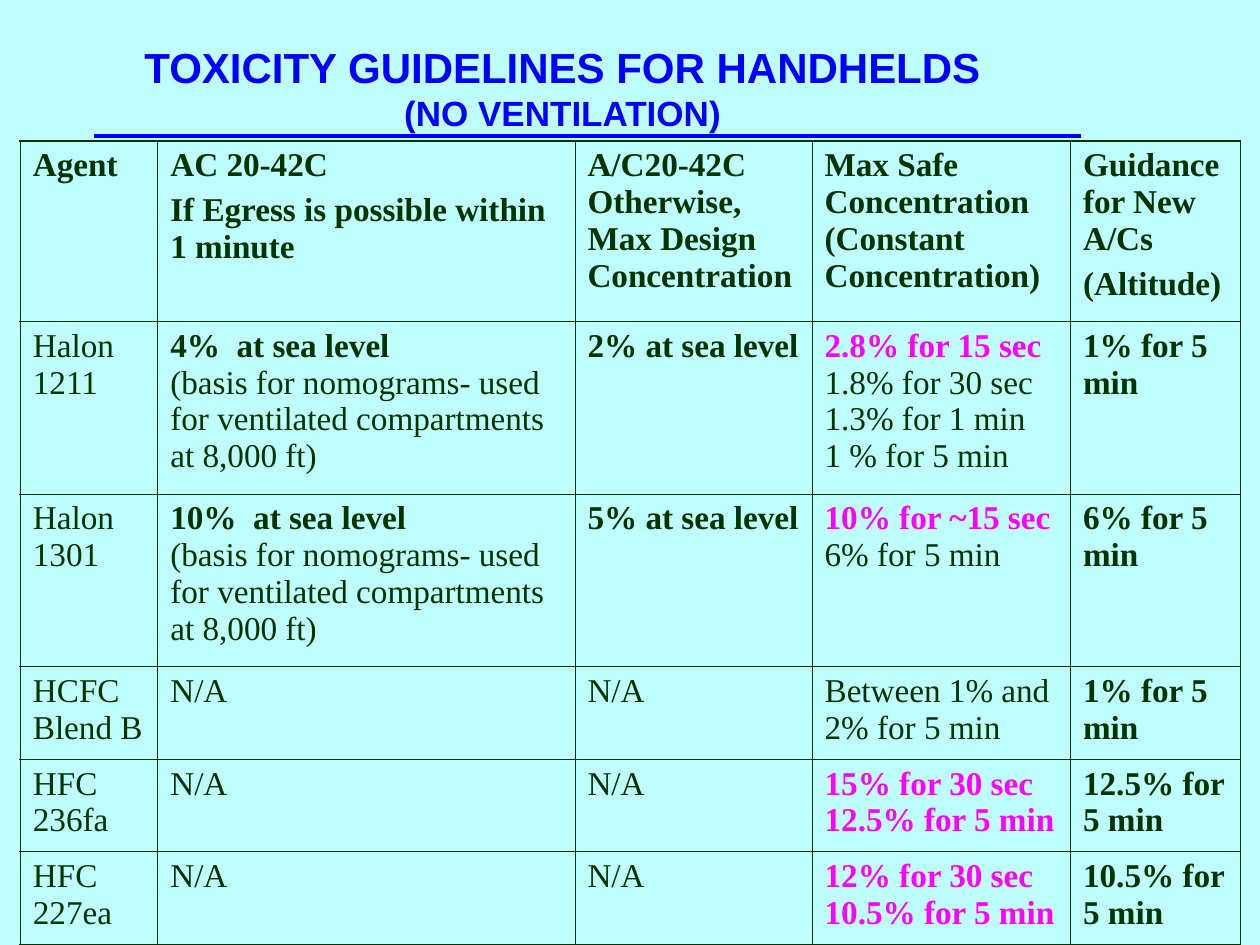
import pptx
import pptx.dml.color
import pptx.enum.shapes
import pptx.enum.text
import pptx.util
import lxml.etree
from pptx.oxml.ns import qn

Cm = pptx.util.Cm
Pt = pptx.util.Pt
RGBColor = pptx.dml.color.RGBColor

PALE_CYAN = RGBColor(0xBF, 0xFF, 0xFF)
BLUE = RGBColor(0x00, 0x00, 0xFF)
DARK_GREEN = RGBColor(0x00, 0x33, 0x00)
MAGENTA = RGBColor(0xFF, 0x00, 0xFF)

# Text styles of the table: bold, colour
PLAIN = (False, DARK_GREEN)
BOLD = (True, DARK_GREEN)
ALERT = (True, MAGENTA)

BASIS = ("(basis for nomograms- used for ventilated compartments at 8,000 ft)", PLAIN)
NOT_APPLICABLE = [("N/A", PLAIN)]

ROWS = [
    [[("Agent", BOLD)],
     [("AC 20-42C", BOLD), ("If Egress is possible within 1 minute", BOLD)],
     [("A/C20-42C", BOLD), ("Otherwise,", BOLD), ("Max Design Concentration", BOLD)],
     [("Max Safe Concentration (Constant Concentration)", BOLD)],
     [("Guidance for New A/Cs", BOLD), ("(Altitude)", BOLD)]],
    [[("Halon 1211", PLAIN)],
     [("4%  at sea level", BOLD), BASIS],
     [("2% at sea level", BOLD)],
     [("2.8% for 15 sec", ALERT), ("1.8% for 30 sec", PLAIN),
      ("1.3% for 1 min", PLAIN), ("1 % for 5 min", PLAIN)],
     [("1% for 5 min", BOLD)]],
    [[("Halon 1301", PLAIN)],
     [("10%  at sea level", BOLD), BASIS],
     [("5% at sea level", BOLD)],
     [("10% for ~15 sec", ALERT), ("6% for 5 min", PLAIN)],
     [("6% for 5 min", BOLD)]],
    [[("HCFC Blend B", PLAIN)], NOT_APPLICABLE, NOT_APPLICABLE,
     [("Between 1% and 2% for 5 min", PLAIN)],
     [("1% for 5 min", BOLD)]],
    [[("HFC 236fa", PLAIN)], NOT_APPLICABLE, NOT_APPLICABLE,
     [("15% for 30 sec", ALERT), ("12.5% for 5 min", ALERT)],
     [("12.5% for 5 min", BOLD)]],
    [[("HFC 227ea", PLAIN)], NOT_APPLICABLE, NOT_APPLICABLE,
     [("12% for 30 sec", ALERT), ("10.5% for 5 min", ALERT)],
     [("10.5% for 5 min", BOLD)]],
]
COLUMN_WIDTHS = [2.77, 8.41, 4.78, 5.21, 3.43]
ROW_HEIGHTS = [3.63, 3.48, 3.48, 1.85, 1.85, 1.85]
SPACED_COLUMNS = (1, 4)  # header cells with a gap between paragraphs


def format_span(span, font_name, size, bold, color):
    span.font.name = font_name
    span.font.size = Pt(size)
    span.font.bold = bold
    span.font.color.rgb = color


def add_border(cell, side, width):
    properties = cell._tc.get_or_add_tcPr()
    line = lxml.etree.SubElement(properties, qn("a:" + side), w=str(Pt(width)))
    fill = lxml.etree.SubElement(line, qn("a:solidFill"))
    lxml.etree.SubElement(fill, qn("a:srgbClr"), val=str(DARK_GREEN))


deck = pptx.Presentation()
deck.slide_width, deck.slide_height = Cm(25.4), Cm(19.05)
page = deck.slides.add_slide(deck.slide_layouts[5])
page.background.fill.solid()
page.background.fill.fore_color.rgb = PALE_CYAN

# Title
title = page.shapes.title
title.left, title.top, title.width, title.height = Cm(2.64), Cm(0.71), Cm(17.4), Cm(2.11)
frame = title.text_frame
frame.text = "TOXICITY GUIDELINES FOR HANDHELDS\n(NO VENTILATION)"
frame.word_wrap = False
frame.auto_size = pptx.enum.text.MSO_AUTO_SIZE.SHAPE_TO_FIT_TEXT
frame.vertical_anchor = pptx.enum.text.MSO_ANCHOR.MIDDLE
for para, size in zip(frame.paragraphs, (24, 20)):
    para.alignment = pptx.enum.text.PP_ALIGN.CENTER
    format_span(para.runs[0], "Arial", size, True, BLUE)

# Rule behind the title
rule = page.shapes.add_connector(
    pptx.enum.shapes.MSO_CONNECTOR.STRAIGHT, Cm(21.8), Cm(2.74), Cm(1.9), Cm(2.74))
rule.line.color.rgb = BLUE
rule.line.width = Pt(2.25)
lxml.etree.SubElement(rule.element.spPr, qn("a:effectLst"))
title.element.addprevious(rule.element)

# Table grid
table = page.shapes.add_table(
    len(ROWS), len(COLUMN_WIDTHS), Cm(0.41), Cm(2.84),
    Cm(sum(COLUMN_WIDTHS)), Cm(sum(ROW_HEIGHTS))).table
table.first_row = False
table.horz_banding = False
for column, width in zip(table.columns, COLUMN_WIDTHS):
    column.width = Cm(width)
for row, height in zip(table.rows, ROW_HEIGHTS):
    row.height = Cm(height)

# Table cells: heavier border on the left, right and top edges
last_column = len(COLUMN_WIDTHS) - 1
for r, row in enumerate(ROWS):
    for c, lines in enumerate(row):
        cell = table.cell(r, c)
        cell.text_frame.text = "\n".join(text for text, style in lines)
        for i, (para, (text, style)) in enumerate(zip(cell.text_frame.paragraphs, lines)):
            if r == 0 and i > 0 and c in SPACED_COLUMNS:
                para.space_before = Pt(4.8)
            format_span(para.runs[0], "Times New Roman", 19, *style)
        for side, outer in (("lnL", c == 0), ("lnR", c == last_column),
                            ("lnT", r == 0), ("lnB", False)):
            add_border(cell, side, 1.08 if outer else 0.45)
        cell.fill.background()

deck.save("out.pptx")
